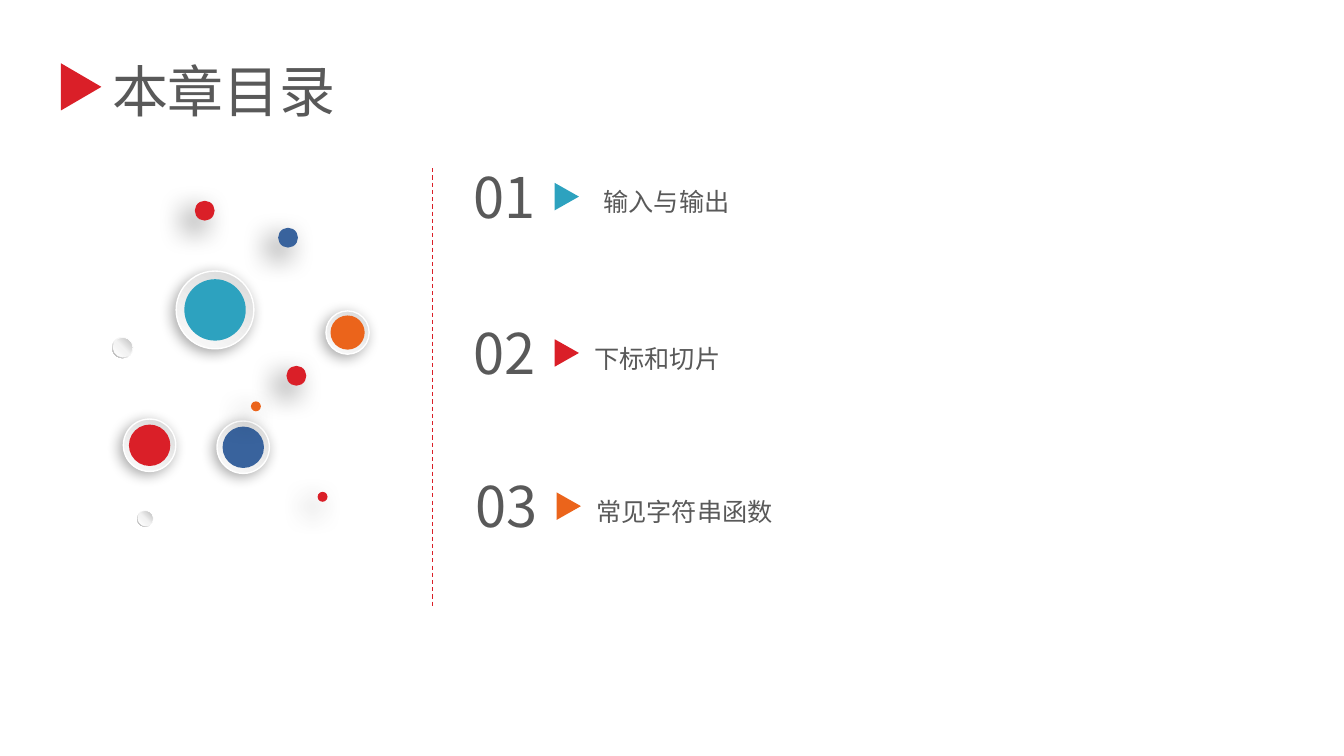
"""Build the chapter contents slide with its numbered topics and bubble ornament."""
from typing import NamedTuple, Optional

from lxml import etree
from pptx import Presentation
from pptx import util as u
from pptx.dml import color
from pptx.enum import dml, shapes, text
from pptx.oxml import ns

FONT = "Noto Sans CJK SC"
GREY, RED, TEAL, ORANGE, BLUE = "595959", "DA1F28", "2DA2BF", "EB641B", "39639D"
SHAPE = shapes.MSO_SHAPE


class Topic(NamedTuple):
    number: str
    label: str
    accent: str
    left: float
    top: float
    label_left: float


class Bubble(NamedTuple):
    x: float
    y: float
    size: float
    accent: str = ""


class Gradient(NamedTuple):
    stops: tuple[tuple[int, str], ...]
    angle: int


class Shadow(NamedTuple):
    opacity: int
    blur: float
    distance: float
    angle: int


TOPICS = [
    Topic("01", "输入与输出", TEAL, 11.68, 3.96, 14.96),
    Topic("02", "下标和切片", RED, 11.68, 7.9, 14.73),
    Topic("03", "常见字符串函数", ORANGE, 11.73, 11.76, 14.78),
]
RINGED = [
    Bubble(5.42, 7.81, 1.96, TEAL),
    Bubble(3.77, 11.22, 1.32, RED),
    Bubble(6.13, 11.27, 1.32, BLUE),
    Bubble(8.76, 8.38, 1.09, ORANGE),
]
DOTS = [
    Bubble(7.47, 9.47, 0.5, RED),
    Bubble(7.26, 5.99, 0.5, BLUE),
    Bubble(8.13, 12.52, 0.25, RED),
    Bubble(5.16, 5.31, 0.5, RED),
    Bubble(6.45, 10.24, 0.25, ORANGE),
]
PEARLS = [Bubble(3.66, 13.07, 0.41), Bubble(3.09, 8.76, 0.53)]

RING_FILL = Gradient(((0, "D9D9D9"), (100, "FCFCFC")), 120)
RING_EDGE = Gradient(((0, "D9D9D9"), (50, "FFFFFF"), (100, "FFFFFF")), 120)
PEARL_RIM = Gradient(((0, "FFFFFF"), (55, "F2F2F2"), (100, "A6A6A6")), 135)
PEARL_FILL = Gradient(((0, "FFFFFF"), (51, "F2F2F2"), (100, "BFBFBF")), 315)
RING_SHADOW = Shadow(34, 10, 3, 136)
DOT_SHADOW = Shadow(60, 20, 10, 135)


def rgb(code: str) -> color.RGBColor:
    """Turn a hex string into a colour."""
    return color.RGBColor.from_string(code)


def add_node(parent, tag: str, **attributes):
    """Append a DrawingML element to a parent."""
    values = {name: str(value) for name, value in attributes.items()}
    return etree.SubElement(parent, ns.qn(tag), values)


def paint(fill, owner, finish: str | Gradient) -> None:
    """Fill an area or outline with a solid colour or a gradient."""
    if isinstance(finish, str):
        fill.solid()
        fill.fore_color.rgb = rgb(finish)
        return
    fill.gradient()
    gradient = owner.find(ns.qn("a:gradFill"))
    for child in list(gradient):
        gradient.remove(child)
    stops = add_node(gradient, "a:gsLst")
    for position, code in finish.stops:
        stop = add_node(stops, "a:gs", pos=position * 1000)
        add_node(stop, "a:srgbClr", val=code)
    add_node(gradient, "a:lin", ang=finish.angle * 60000, scaled=0)


def cast_shadow(shape, shadow: Shadow) -> None:
    """Give a shape a soft black outer shadow."""
    effects = shape._element.spPr.find(ns.qn("a:effectLst"))
    outer = add_node(effects, "a:outerShdw", blurRad=u.Pt(shadow.blur), dist=u.Pt(shadow.distance),
                     dir=shadow.angle * 60000, algn="ctr", rotWithShape=0)
    tint = add_node(outer, "a:srgbClr", val="000000")
    add_node(tint, "a:alpha", val=shadow.opacity * 1000)


def add_figure(slide, kind, left: float, top: float, width: float, height: float,
               finish: str | Gradient, edge: Optional[Gradient] = None,
               shadow: Optional[Shadow] = None):
    """Draw a preset shape with its fill, outline and shadow."""
    figure = slide.shapes.add_shape(kind, u.Cm(left), u.Cm(top), u.Cm(width), u.Cm(height))
    figure.shadow.inherit = False
    paint(figure.fill, figure._element.spPr, finish)
    if edge:
        figure.line.width = u.Pt(1)
        paint(figure.line.fill, figure._element.spPr.find(ns.qn("a:ln")), edge)
    else:
        figure.line.fill.background()
    if shadow:
        cast_shadow(figure, shadow)
    return figure


def add_pointer(slide, left: float, top: float, width: float, height: float, accent: str) -> None:
    """Draw a triangle that points right."""
    pointer = add_figure(slide, SHAPE.ISOSCELES_TRIANGLE, left, top, width, height, accent)
    pointer.rotation = 90


def add_circle(slide, bubble: Bubble, finish: str | Gradient, scale: float = 1,
               kind=SHAPE.OVAL, **style):
    """Draw a round shape around the centre of a bubble."""
    size = bubble.size * scale
    return add_figure(slide, kind, bubble.x - size / 2, bubble.y - size / 2,
                      size, size, finish, **style)


def write(box, wording: str, *, size: float, spacing: Optional[float] = None,
          before: float = 0) -> None:
    """Write one left-aligned paragraph in a box."""
    frame = box.text_frame
    frame.word_wrap = True
    frame.auto_size = text.MSO_AUTO_SIZE.SHAPE_TO_FIT_TEXT
    frame.vertical_anchor = text.MSO_ANCHOR.TOP
    paragraph = frame.paragraphs[0]
    paragraph.alignment = text.PP_ALIGN.LEFT
    paragraph.space_before = u.Pt(before)
    if spacing:
        paragraph.line_spacing = spacing
    run = paragraph.add_run()
    run.text = wording
    run.font.size = u.Pt(size)
    run.font.name = FONT
    run.font.color.rgb = rgb(GREY)
    add_node(run.font._element, "a:ea", typeface=FONT)


def add_topic(slide, topic: Topic) -> None:
    """Draw a topic with its number, pointer and label."""
    add_pointer(slide, topic.left + 2.26, topic.top + 0.69, 0.69, 0.61, topic.accent)
    number = slide.shapes.add_textbox(u.Cm(topic.left), u.Cm(topic.top), u.Cm(2.29), u.Cm(1.96))
    write(number, topic.number, size=40)
    label = slide.shapes.add_textbox(u.Cm(topic.label_left), u.Cm(topic.top + 0.24),
                                     u.Cm(11.46), u.Cm(1.27))
    write(label, topic.label, size=18, spacing=1.5, before=6)


def add_divider(slide) -> None:
    """Draw the dashed line between ornament and topics."""
    divider = slide.shapes.add_connector(shapes.MSO_CONNECTOR.STRAIGHT, u.Cm(10.9), u.Cm(4.24),
                                         u.Cm(10.9), u.Cm(15.32))
    divider.line.color.rgb = rgb(RED)
    divider.line.width = u.Pt(0.75)
    divider.line.dash_style = dml.MSO_LINE.DASH
    add_node(divider._element.spPr, "a:effectLst")


def main() -> None:
    """Build and save the slide."""
    deck = Presentation()
    deck.slide_width, deck.slide_height = u.Cm(33.87), u.Cm(19.05)
    slide = deck.slides.add_slide(deck.slide_layouts[5])
    title = slide.shapes.title
    title.left, title.top, title.width, title.height = map(u.Cm, (2.57, 1.3, 8.28, 1.96))
    write(title, "本章目录", size=40)
    add_pointer(slide, 1.45, 1.68, 1.19, 1.02, RED)
    for topic in TOPICS:
        add_topic(slide, topic)
    for bubble in RINGED:
        add_circle(slide, bubble, RING_FILL, edge=RING_EDGE, shadow=RING_SHADOW)
        add_circle(slide, bubble, bubble.accent, scale=0.79)
    for pearl in PEARLS:
        rim = add_circle(slide, pearl, PEARL_RIM, kind=SHAPE.DONUT)
        rim.adjustments[0] = 0.05
        add_circle(slide, pearl, PEARL_FILL, scale=0.9)
    for dot in DOTS:
        add_circle(slide, dot, dot.accent, shadow=DOT_SHADOW)
    add_divider(slide)
    deck.save("out.pptx")


if __name__ == "__main__":
    main()
